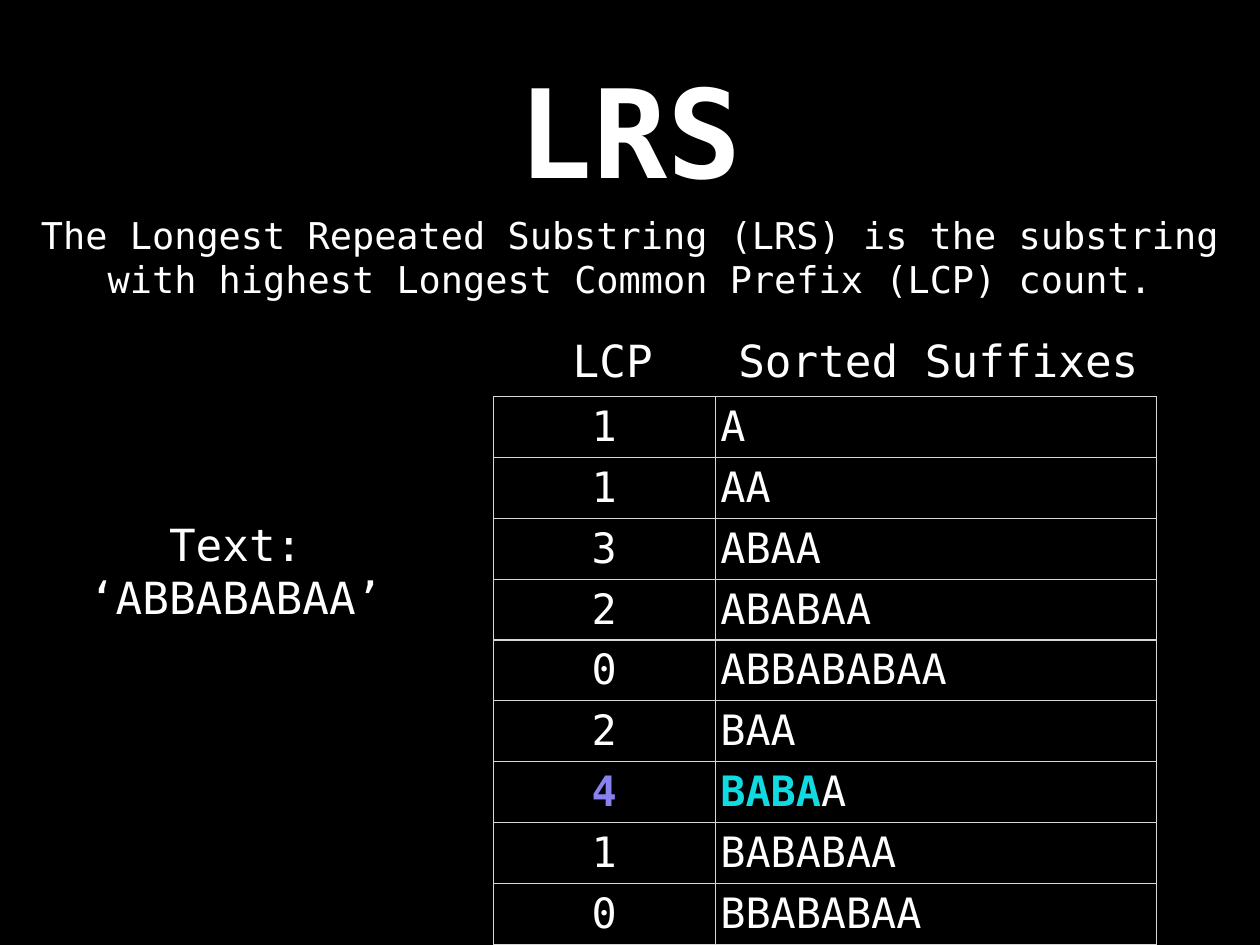
from lxml import etree
from pptx import Presentation
from pptx.dml.color import RGBColor
from pptx.enum import text
from pptx.oxml import ns
from pptx.util import Inches, Pt

BLACK = RGBColor(0x00, 0x00, 0x00)
WHITE = RGBColor(0xFF, 0xFF, 0xFF)
PURPLE = RGBColor(0x89, 0x81, 0xF0)
CYAN = RGBColor(0x11, 0xDB, 0xE2)
GRID = RGBColor(0xD6, 0xD7, 0xD6)
FONT = "DejaVu Sans Mono"
INSET = Inches(0.06)
CENTER = text.PP_ALIGN.CENTER
LEFT = text.PP_ALIGN.LEFT


def add_span(para, words, size, color=WHITE, bold=False):
    span = para.add_run()
    span.text = words
    span.font.name = FONT
    span.font.size = Pt(size)
    span.font.bold = bold
    span.font.color.rgb = color


def set_margins(holder):
    holder.margin_left = holder.margin_right = INSET
    holder.margin_top = holder.margin_bottom = INSET
    holder.vertical_anchor = text.MSO_ANCHOR.MIDDLE


deck = Presentation()
deck.slide_width = Inches(14.22)
deck.slide_height = Inches(10.67)
page = deck.slides.add_slide(deck.slide_layouts[5])
page.background.fill.solid()
page.background.fill.fore_color.rgb = BLACK

title = page.shapes.title
title.left, title.top = Inches(1.04), Inches(0.28)
title.width, title.height = Inches(12.14), Inches(2.36)
set_margins(title.text_frame)
title.text_frame.auto_size = text.MSO_AUTO_SIZE.NONE
title_para = title.text_frame.paragraphs[0]
title_para.alignment = CENTER
add_span(title_para, "LRS", 100, bold=True)

definition = (
    "The Longest Repeated Substring (LRS) is the substring "
    "with highest Longest Common Prefix (LCP) count."
)
labels = [
    (0.22, 2.36, 13.78, 1.08, 30, True, [definition]),
    (8.27, 3.72, 4.64, 0.68, 36, False, ["Sorted Suffixes"]),
    (6.4, 3.72, 1.03, 0.68, 36, False, ["LCP"]),
    (0.94, 5.81, 3.44, 1.25, 36, False, ["Text:", "‘ABBABABAA’"]),
]
for left, top, width, height, size, wrap, lines in labels:
    box = page.shapes.add_textbox(Inches(left), Inches(top), Inches(width), Inches(height))
    frame = box.text_frame
    set_margins(frame)
    frame.word_wrap = wrap
    frame.auto_size = text.MSO_AUTO_SIZE.SHAPE_TO_FIT_TEXT
    for index, line in enumerate(lines):
        para = frame.add_paragraph() if index else frame.paragraphs[0]
        para.alignment = CENTER
        add_span(para, line, size)

suffixes = [
    ("1", "A"),
    ("1", "AA"),
    ("3", "ABAA"),
    ("2", "ABABAA"),
    ("0", "ABBABABAA"),
    ("2", "BAA"),
    ("4", "BABAA"),
    ("1", "BABABAA"),
    ("0", "BBABABAA"),
]
longest = max(int(count) for count, suffix in suffixes)

table = page.shapes.add_table(
    len(suffixes), 2, Inches(5.57), Inches(4.48), Inches(7.48), Inches(5.85)
).table
table.first_row = False
table.horz_banding = False
table.columns[0].width = Inches(2.5)
table.columns[1].width = Inches(4.98)

for row, (count, suffix) in enumerate(suffixes):
    table.rows[row].height = Inches(0.65)
    if int(count) == longest:
        count_spans = [(count, PURPLE, True)]
        suffix_spans = [(suffix[:longest], CYAN, True), (suffix[longest:], WHITE, False)]
    else:
        count_spans = [(count, WHITE, False)]
        suffix_spans = [(suffix, WHITE, False)]
    for column, (spans, alignment) in enumerate([(count_spans, CENTER), (suffix_spans, LEFT)]):
        cell = table.cell(row, column)
        set_margins(cell)
        para = cell.text_frame.paragraphs[0]
        para.alignment = alignment
        for words, color, bold in spans:
            add_span(para, words, 34, color, bold)
        properties = cell._tc.get_or_add_tcPr()
        for side in ("a:lnL", "a:lnR", "a:lnT", "a:lnB"):
            border = etree.SubElement(properties, ns.qn(side), w=str(Pt(1)))
            paint = etree.SubElement(border, ns.qn("a:solidFill"))
            etree.SubElement(paint, ns.qn("a:srgbClr"), val=str(GRID))
        cell.fill.background()

deck.save("out.pptx")
